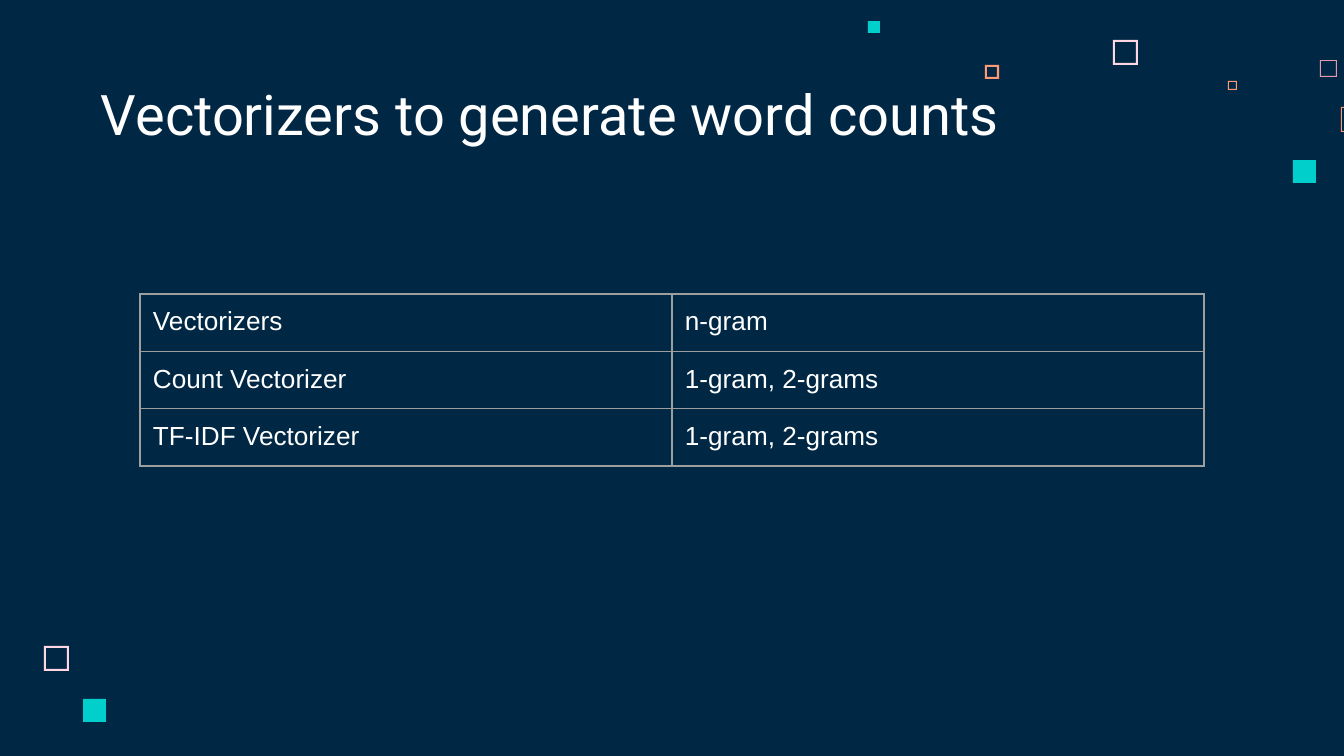
from pptx import Presentation
from pptx.dml.color import RGBColor
from pptx.enum.shapes import MSO_SHAPE
from pptx.enum.text import MSO_ANCHOR
from pptx.oxml.ns import qn
from pptx.util import Emu, Pt
from lxml.etree import SubElement

NAVY = RGBColor(0x00, 0x28, 0x45)
WHITE = RGBColor(0xFF, 0xFF, 0xFF)
PINK = RGBColor(0xFF, 0xD6, 0xE1)
ROSE = RGBColor(0xE8, 0x98, 0xAC)
ORANGE = RGBColor(0xFF, 0x99, 0x73)
TEAL = RGBColor(0x00, 0xCF, 0xCC)
GRAY = RGBColor(0x9E, 0x9E, 0x9E)

WIDTH, HEIGHT = 1344, 756
MARGIN = 13

# left, top, side, rim thickness, colour
FRAMES = [
    (1113, 40, 25, 2, PINK),
    (1320, 60, 17, 1, ROSE),
    (1228, 81, 9, 1, ORANGE),
    (1341, 107, 25, 1, ORANGE),
    (985, 65, 14, 2, ORANGE),
    (44, 646, 25, 2, PINK),
]
# left, top, side
SQUARES = [(1293, 160, 23), (868, 21, 12), (83, 699, 23)]

ROWS = [
    ("Vectorizers", "n-gram"),
    ("Count Vectorizer", "1-gram, 2-grams"),
    ("TF-IDF Vectorizer", "1-gram, 2-grams"),
]


def px(length):
    """Turn px (134.4 to the inch) into EMU."""
    return Emu(round(length * 914400 / 134.4))


class Painter:
    """Holds the style and the slide being drawn."""

    def __init__(self, slide):
        self.slide = slide
        self.title_font, self.title_size = "Roboto", Pt(30)
        self.body_font, self.body_size = "Arial", Pt(14)
        self.border_width = Pt(0.75)

    def background(self, color):
        fill = self.slide.background.fill
        fill.solid()
        fill.fore_color.rgb = color

    def square(self, left, top, side, color, kind=MSO_SHAPE.RECTANGLE):
        shape = self.slide.shapes.add_shape(kind, px(left), px(top), px(side), px(side))
        shape.shadow.inherit = False
        shape.fill.solid()
        shape.fill.fore_color.rgb = color
        shape.line.fill.background()
        return shape

    def frame(self, left, top, side, rim, color):
        shape = self.square(left, top, side, color, MSO_SHAPE.FRAME)
        shape.adjustments[0] = rim / side

    def set_text(self, text_frame, text, font, size):
        text_frame.text = text
        span = text_frame.paragraphs[0].runs[0]
        span.font.name, span.font.size = font, size
        span.font.color.rgb = WHITE

    def set_margins(self, holder):
        holder.margin_left = holder.margin_right = px(MARGIN)
        holder.margin_top = holder.margin_bottom = px(MARGIN)

    def title(self, left, top, width, height, text):
        box = self.slide.shapes.add_textbox(px(left), px(top), px(width), px(height))
        text_frame = box.text_frame
        text_frame.word_wrap = True
        text_frame.vertical_anchor = MSO_ANCHOR.BOTTOM
        self.set_margins(text_frame)
        self.set_text(text_frame, text, self.title_font, self.title_size)

    def border(self, cell):
        properties = cell._tc.get_or_add_tcPr()
        for position, side in enumerate(("a:lnL", "a:lnR", "a:lnT", "a:lnB")):
            line = SubElement(properties, qn(side), w=str(self.border_width))
            fill = SubElement(line, qn("a:solidFill"))
            SubElement(fill, qn("a:srgbClr"), val=str(GRAY))
            properties.insert(position, line)

    def table(self, left, top, column_width, row_height, rows):
        columns = len(rows[0])
        table = self.slide.shapes.add_table(
            len(rows), columns, px(left), px(top),
            px(column_width * columns), px(row_height * len(rows))).table
        table.first_row = table.horz_banding = False
        for row, texts in enumerate(rows):
            for column, text in enumerate(texts):
                cell = table.cell(row, column)
                cell.fill.background()
                self.set_margins(cell)
                self.set_text(cell.text_frame, text, self.body_font, self.body_size)
                self.border(cell)


def main():
    deck = Presentation()
    deck.slide_width, deck.slide_height = px(WIDTH), px(HEIGHT)
    painter = Painter(deck.slides.add_slide(deck.slide_layouts[6]))
    painter.background(NAVY)
    for frame in FRAMES:
        painter.frame(*frame)
    for square in SQUARES:
        painter.square(*square, TEAL)
    painter.title(88, 75, 984, 85, "Vectorizers to generate word counts")
    painter.table(140, 294, 532, 56, ROWS)
    deck.save("out.pptx")


if __name__ == "__main__":
    main()
